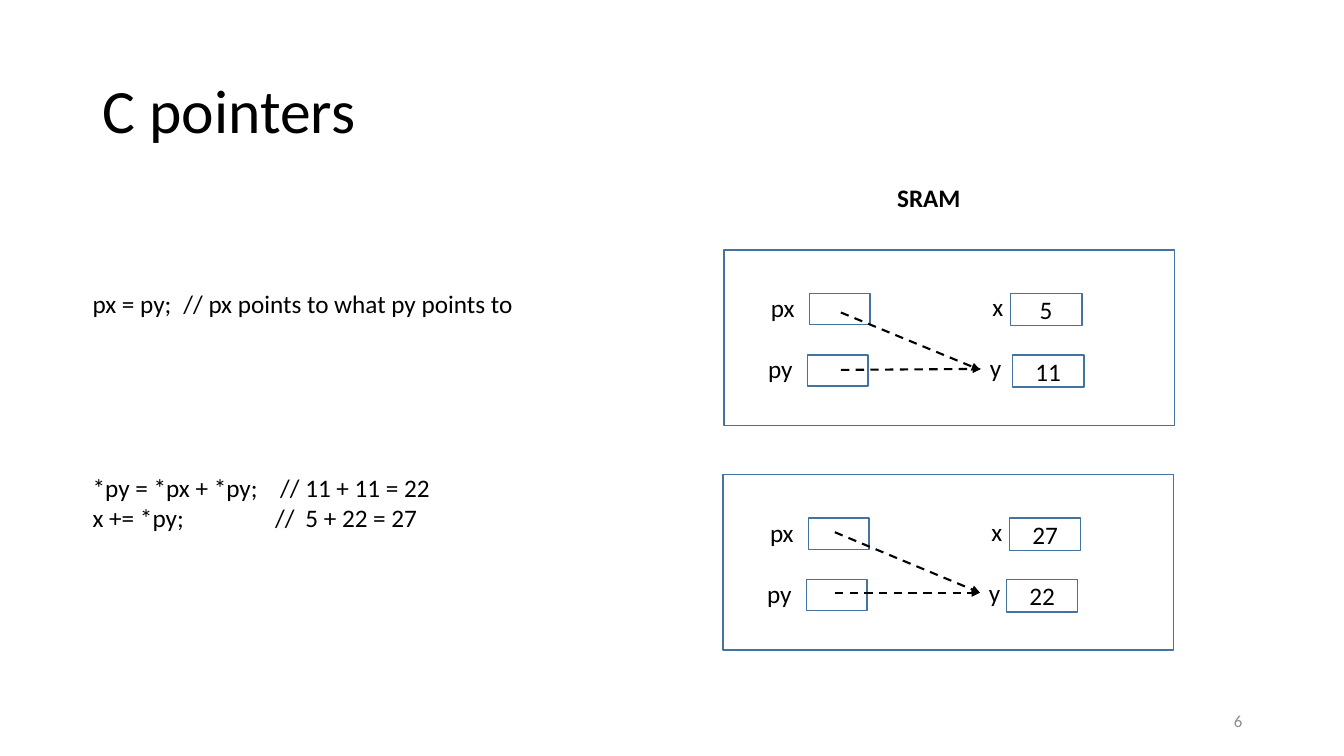
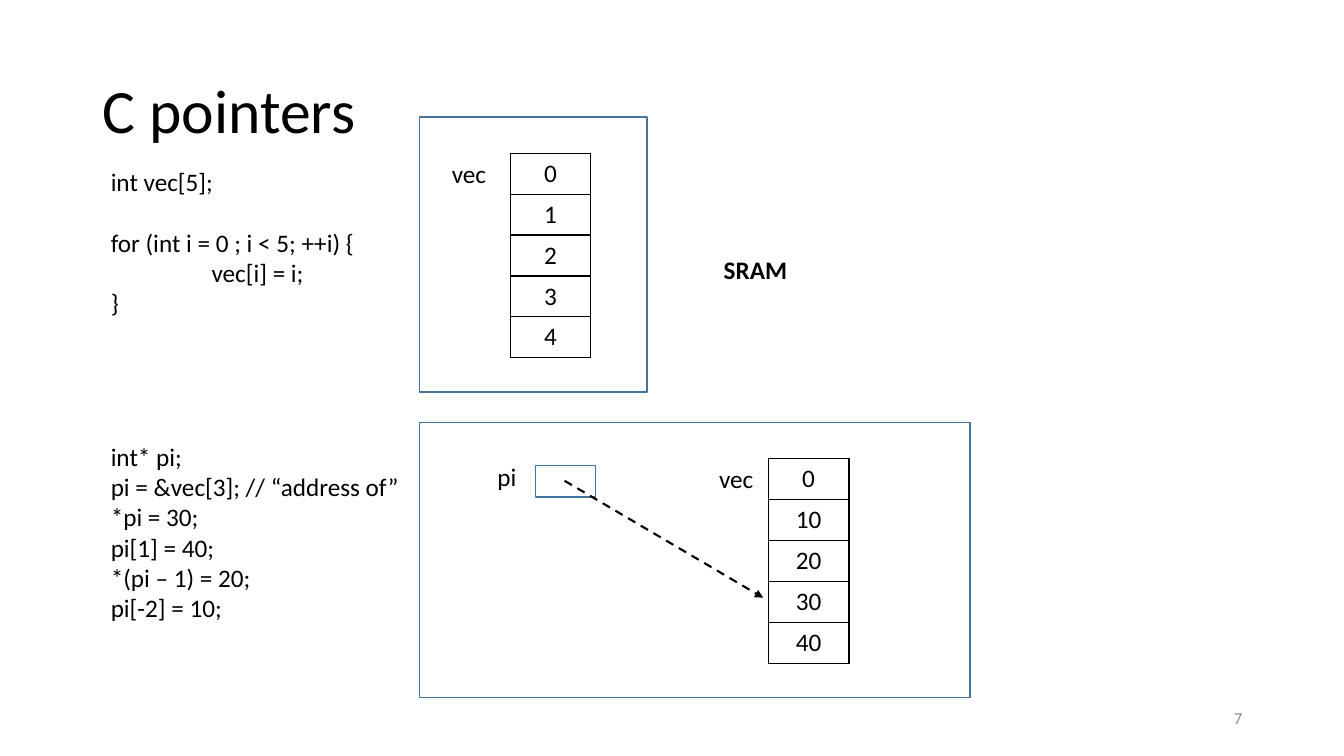
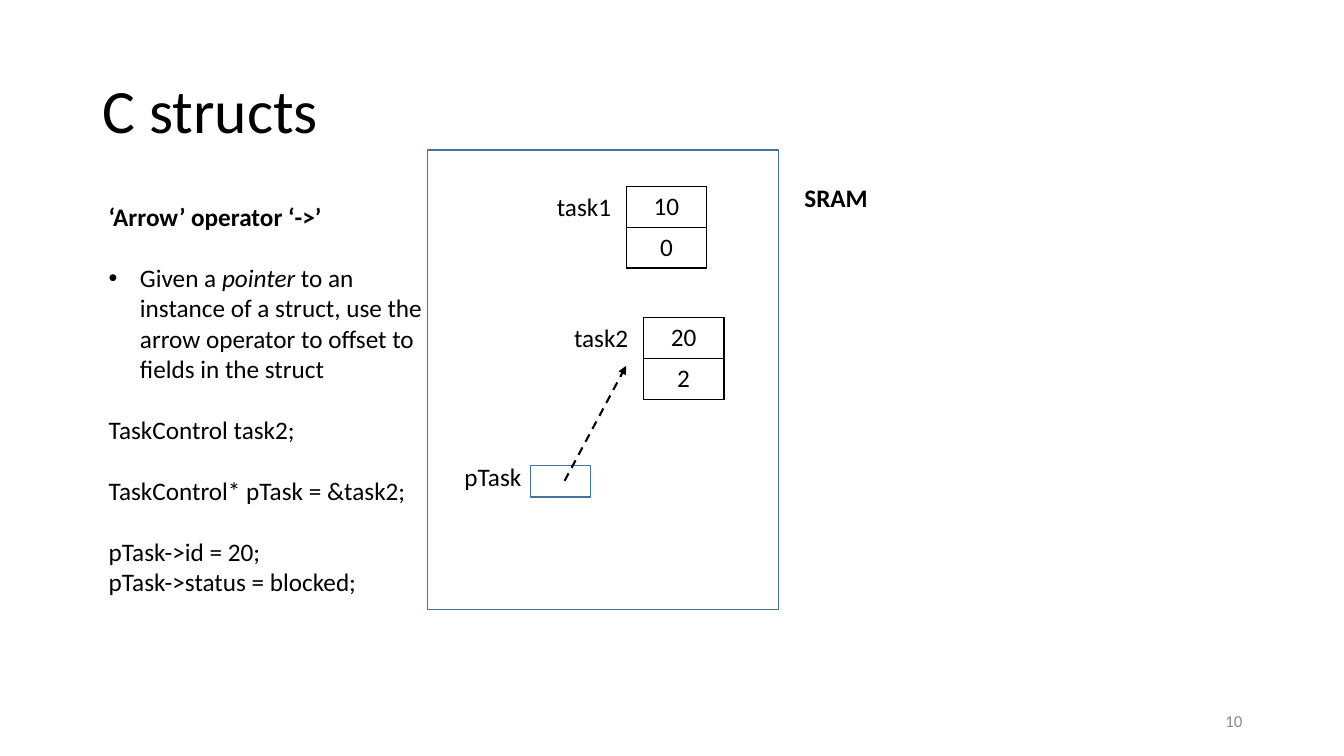
"""Build three slides on C pointers and structs with memory diagrams."""
from collections.abc import Sequence
from dataclasses import dataclass

from lxml import etree
from pptx import Presentation
from pptx.dml.color import RGBColor
from pptx.enum.dml import MSO_LINE
from pptx.enum.shapes import MSO_CONNECTOR, MSO_SHAPE
from pptx.enum.text import MSO_ANCHOR, PP_ALIGN
from pptx.oxml.ns import qn
from pptx.presentation import Presentation as Deck
from pptx.slide import Slide
from pptx.text.text import TextFrame
from pptx.util import Pt

LEFT, CENTER, RIGHT = PP_ALIGN.LEFT, PP_ALIGN.CENTER, PP_ALIGN.RIGHT
TOP, MIDDLE = MSO_ANCHOR.TOP, MSO_ANCHOR.MIDDLE
RECTANGLE, STRAIGHT, DASH = MSO_SHAPE.RECTANGLE, MSO_CONNECTOR.STRAIGHT, MSO_LINE.DASH

EMU_PER_PX = 9144
SLIDE_WIDTH, SLIDE_HEIGHT = 1333, 750
FONT = "Calibri"
COLORS = {"text": "000000", "muted": "8C8C8C", "outline": "43739E"}
LINE_POINTS = 22
LABEL_HEIGHT = 40
POINTER_WIDTH, POINTER_HEIGHT = 60, 31
VALUE_WIDTH, VALUE_HEIGHT = 71, 32
ARRAY_WIDTH, FIVE_ROWS_HEIGHT = 80, 203


@dataclass(frozen=True)
class Line:
    """One paragraph, with the number of free lines above it."""
    text: str
    gap: int = 0
    indent: int = 0
    bullet: bool = False
    bold: bool = False
    emphasis: str = ""
    tabs: tuple[int, ...] = ()


@dataclass(frozen=True)
class Box:
    """A rectangle in px."""
    left: int
    top: int
    width: int
    height: int


@dataclass(frozen=True)
class Arrow:
    """A dashed arrow between two points in px."""
    start: tuple[int, int]
    end: tuple[int, int]


@dataclass(frozen=True)
class PointerPanel:
    """Memory holding px, py, x and y."""
    left: int
    top: int
    x_value: str
    y_value: str
    y_offset: int
    arrows: tuple[Arrow, ...]


@dataclass(frozen=True)
class ArrayTable:
    """A labelled column of values; label_width runs up to label_right."""
    label: str
    label_right: int
    label_width: int
    left: int
    top: int
    values: tuple[str, ...]


POINTER_CODE = (
    Line("px = py;\t// px points to what py points to", tabs=(90,)),
    Line("*py = *px + *py;\t// 11 + 11 = 22", gap=5, tabs=(186,)),
    Line("x += *py;\t//\t5 + 22 = 27", tabs=(181, 211)),
)
POINTER_PANELS = (
    PointerPanel(718, 248, "5", "11", 286,
                 (Arrow((834, 310), (972, 367)), Arrow((834, 367), (973, 366)))),
    PointerPanel(717, 471, "27", "22", 281,
                 (Arrow((828, 528), (972, 588)), Arrow((828, 588), (972, 588)))),
)
ARRAY_CODE = (
    Line("int vec[5];"),
    Line("for (int i = 0 ; i < 5; ++i) {", gap=1),
    Line("vec[i] = i;", indent=100),
    Line("}"),
    Line("int* pi;", gap=4),
    Line("pi = &vec[3]; // “address of”"),
    Line("*pi = 30;"),
    Line("pi[1] = 40;"),
    Line("*(pi – 1) = 20;"),
    Line("pi[-2] = 10;"),
)
ARRAYS = (
    ArrayTable("vec", 492, 65, 506, 152, ("0", "1", "2", "3", "4")),
    ArrayTable("vec", 757, 65, 762, 455, ("0", "10", "20", "30", "40")),
)
STRUCT_CODE = (
    Line("‘Arrow’ operator ‘->’", bold=True),
    Line("Given a pointer to an instance of a struct, use the arrow operator "
         "to offset to fields in the struct",
         gap=1, indent=31, bullet=True, emphasis="pointer"),
    Line("TaskControl task2;", gap=1),
    Line("TaskControl* pTask = &task2;", gap=1),
    Line("pTask->id = 20;", gap=1),
    Line("pTask->status = blocked;"),
)
STRUCTS = (
    ArrayTable("task1", 616, 85, 621, 185, ("10", "0")),
    ArrayTable("task2", 633, 85, 638, 315, ("20", "2")),
)


def px(length: int) -> int:
    """Turn px into EMU."""
    return length * EMU_PER_PX


def place(box: Box) -> tuple[int, int, int, int]:
    """Return the box in EMU."""
    return px(box.left), px(box.top), px(box.width), px(box.height)


def rgb(name: str) -> RGBColor:
    """Look up a named colour."""
    return RGBColor.from_string(COLORS[name])


def write_text(frame: TextFrame, text: str | Sequence[Line], *, size: int = 18,
               color: str = "text", bold: bool = False, align: PP_ALIGN = LEFT,
               anchor: MSO_ANCHOR = TOP, wrap: bool = True,
               spacing: float | None = None) -> None:
    """Fill a text frame with one string or several lines."""
    frame.word_wrap = wrap
    frame.vertical_anchor = anchor
    lines = (Line(text),) if isinstance(text, str) else text
    for index, line in enumerate(lines):
        paragraph = frame.add_paragraph() if index else frame.paragraphs[0]
        paragraph.alignment = align
        paragraph.line_spacing = spacing
        if line.gap:
            paragraph.space_before = Pt(line.gap * LINE_POINTS)
        properties = paragraph._p.get_or_add_pPr()
        if line.indent:
            properties.set("marL", str(px(line.indent)))
        if line.bullet:
            properties.set("indent", str(-px(line.indent)))
            etree.SubElement(properties, qn("a:buFont"), typeface="Arial")
            etree.SubElement(properties, qn("a:buChar"), char="•")
        if line.tabs:
            stops = etree.SubElement(properties, qn("a:tabLst"))
            for position in line.tabs:
                etree.SubElement(stops, qn("a:tab"), pos=str(px(position)), algn="l")
        pieces = line.text.partition(line.emphasis) if line.emphasis else (line.text,)
        for piece in pieces:
            run = paragraph.add_run()
            run.text = piece
            run.font.name = FONT
            run.font.size = Pt(size)
            run.font.bold = bold or line.bold
            run.font.italic = bool(line.emphasis) and piece == line.emphasis
            run.font.color.rgb = rgb(color)


def add_text(slide: Slide, box: Box, text: str | Sequence[Line], **text_format) -> None:
    """Add a text box."""
    write_text(slide.shapes.add_textbox(*place(box)).text_frame, text, **text_format)


def add_label(slide: Slide, right: int, top: int, width: int, text: str) -> None:
    """Add a right-aligned variable name."""
    add_text(slide, Box(right - width, top, width, LABEL_HEIGHT), text, align=RIGHT)


def add_heading(slide: Slide, left: int, top: int) -> None:
    """Add the name of the memory."""
    add_text(slide, Box(left, top, 84, LABEL_HEIGHT), "SRAM", bold=True, wrap=False)


def add_box(slide: Slide, box: Box, text: str = "") -> None:
    """Add an outlined rectangle."""
    shape = slide.shapes.add_shape(RECTANGLE, *place(box))
    shape.shadow.inherit = False
    shape.fill.background()
    shape.line.color.rgb = rgb("outline")
    shape.line.width = Pt(1)
    if text:
        write_text(shape.text_frame, text, align=CENTER, anchor=MIDDLE)


def add_pointer(slide: Slide, left: int, top: int) -> None:
    """Add the empty cell of a pointer."""
    add_box(slide, Box(left, top, POINTER_WIDTH, POINTER_HEIGHT))


def add_arrow(slide: Slide, arrow: Arrow) -> None:
    """Add a dashed arrow."""
    points = [px(value) for value in (*arrow.start, *arrow.end)]
    connector = slide.shapes.add_connector(STRAIGHT, *points)
    connector.line.color.rgb = rgb("text")
    connector.line.width = Pt(1.5)
    connector.line.dash_style = DASH
    etree.SubElement(connector.line._get_or_add_ln(), qn("a:tailEnd"), type="triangle")
    etree.SubElement(connector._element.spPr, qn("a:effectLst"))


def add_array(slide: Slide, array: ArrayTable) -> None:
    """Add a labelled one-column table."""
    add_label(slide, array.label_right, array.top, array.label_width, array.label)
    count = len(array.values)
    box = Box(array.left, array.top, ARRAY_WIDTH, FIVE_ROWS_HEIGHT * count // 5)
    table = slide.shapes.add_table(count, 1, *place(box)).table
    table.first_row = False
    table.horz_banding = False
    for row, value in enumerate(array.values):
        cell = table.cell(row, 0)
        properties = cell._tc.get_or_add_tcPr()
        for side in ("lnL", "lnR", "lnT", "lnB"):
            border = etree.SubElement(properties, qn(f"a:{side}"), w=str(Pt(1)))
            fill = etree.SubElement(border, qn("a:solidFill"))
            etree.SubElement(fill, qn("a:srgbClr"), val=COLORS["text"])
        cell.fill.background()
        write_text(cell.text_frame, value, align=CENTER)


def add_pointer_panel(slide: Slide, panel: PointerPanel) -> None:
    """Draw two pointers and two values in a frame."""
    left, top = panel.left, panel.top
    add_box(slide, Box(left, top, 447, 174))
    rows = (("px", "x", panel.x_value, 0, 284, 43),
            ("py", "y", panel.y_value, 2, panel.y_offset, 104))
    for pointer, name, value, shift, value_offset, cell_offset in rows:
        cell_top = top + cell_offset
        add_label(slide, left + 80 - shift, cell_top - 6, 50, pointer)
        add_pointer(slide, left + 85 - shift, cell_top)
        add_label(slide, left + 287 - shift, cell_top - 7, 101, name)
        add_box(slide, Box(left + value_offset, cell_top, VALUE_WIDTH, VALUE_HEIGHT), value)
    for arrow in panel.arrows:
        add_arrow(slide, arrow)


def add_slide(presentation: Deck, title: str, number: str, number_top: int = 695) -> Slide:
    """Add a slide with its title and page number."""
    slide = presentation.slides.add_slide(presentation.slide_layouts[6])
    add_text(slide, Box(92, 40, 1150, 145), title, size=44, anchor=MIDDLE, spacing=0.9)
    add_text(slide, Box(942, number_top, 300, 40), number, size=12, color="muted",
             align=RIGHT, anchor=MIDDLE)
    return slide


def build_pointer_slide(presentation: Deck) -> None:
    """Show assignments through pointers."""
    slide = add_slide(presentation, "C pointers", "6")
    add_text(slide, Box(82, 281, 631, 313), POINTER_CODE)
    add_heading(slide, 880, 176)
    for panel in POINTER_PANELS:
        add_pointer_panel(slide, panel)


def build_array_slide(presentation: Deck) -> None:
    """Show a pointer into an array."""
    slide = add_slide(presentation, "C pointers", "7", number_top=692)
    add_text(slide, Box(100, 160, 631, 586), ARRAY_CODE)
    add_box(slide, Box(416, 116, 226, 273))
    add_box(slide, Box(416, 419, 546, 273))
    for array in ARRAYS:
        add_array(slide, array)
    add_label(slide, 522, 453, 50, "pi")
    add_pointer(slide, 531, 462)
    add_arrow(slide, Arrow((560, 477), (757, 593)))
    add_heading(slide, 708, 247)


def build_struct_slide(presentation: Deck) -> None:
    """Show a pointer to a struct."""
    slide = add_slide(presentation, "C structs", "10")
    add_text(slide, Box(98, 195, 338, 420), STRUCT_CODE)
    add_box(slide, Box(424, 149, 348, 456))
    for struct in STRUCTS:
        add_array(slide, struct)
    add_label(slide, 527, 453, 86, "pTask")
    add_pointer(slide, 526, 462)
    add_arrow(slide, Arrow((560, 477), (621, 363)))
    add_heading(slide, 788, 176)


def main() -> None:
    """Build and save the presentation."""
    presentation = Presentation()
    presentation.slide_width = px(SLIDE_WIDTH)
    presentation.slide_height = px(SLIDE_HEIGHT)
    build_pointer_slide(presentation)
    build_array_slide(presentation)
    build_struct_slide(presentation)
    presentation.save("out.pptx")


if __name__ == "__main__":
    main()
